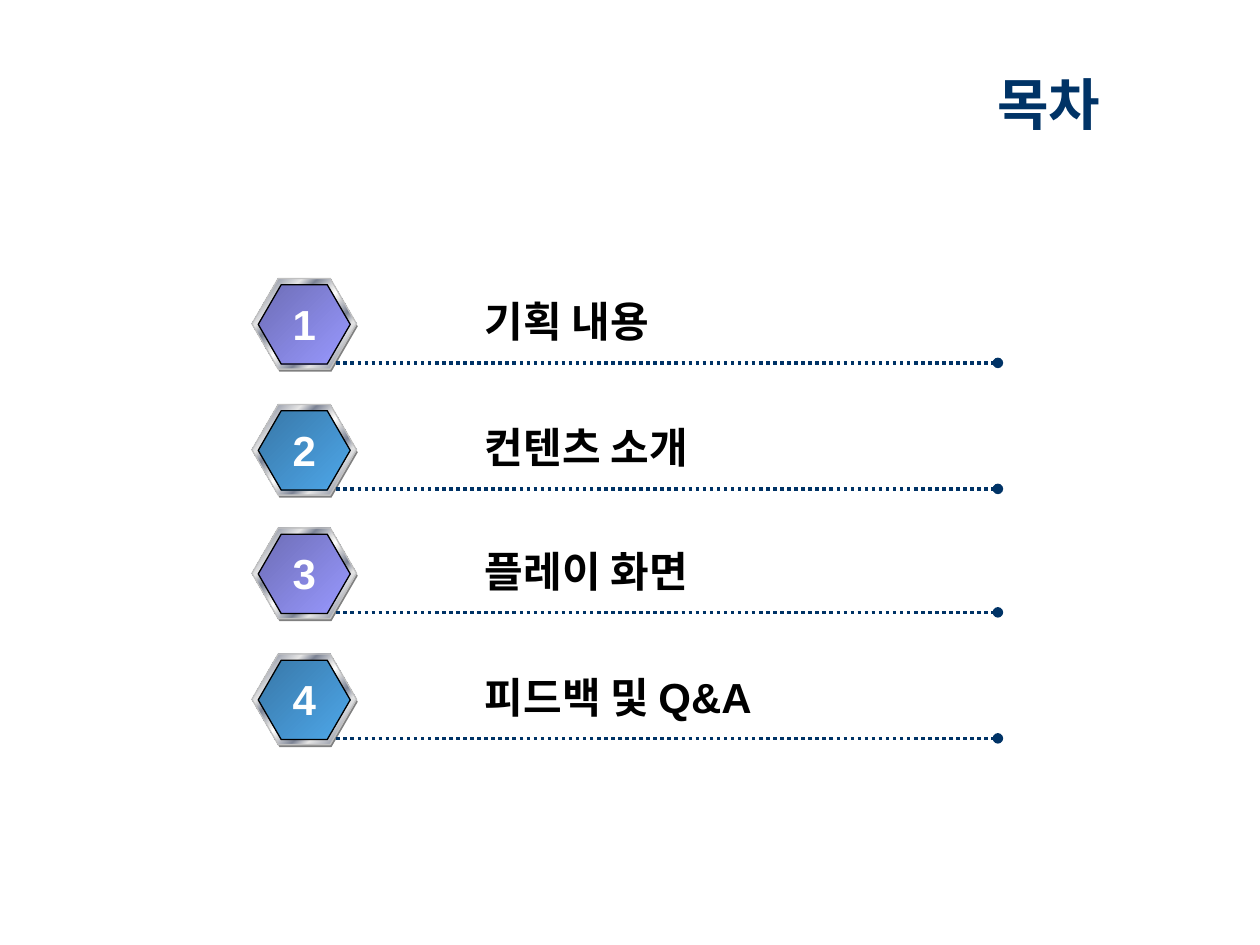
import pptx
import pptx.dml.color
import pptx.enum.dml
import pptx.enum.shapes
import pptx.enum.text
import pptx.oxml
import pptx.oxml.ns
import pptx.util

Inches, Pt = pptx.util.Inches, pptx.util.Pt
RGBColor = pptx.dml.color.RGBColor
Align = pptx.enum.text.PP_ALIGN
qn = pptx.oxml.ns.qn

NAVY = RGBColor(0x00, 0x33, 0x66)
BLACK = RGBColor(0x00, 0x00, 0x00)
WHITE = RGBColor(0xFF, 0xFF, 0xFF)
GRAY = RGBColor(0x80, 0x80, 0x80)
SILVER = RGBColor(0xC0, 0xC0, 0xC0)
LIGHT = RGBColor(0xE6, 0xE6, 0xE6)
STEEL = RGBColor(0x7D, 0x84, 0x96)
VIOLET = [(0, RGBColor(0x6D, 0x6D, 0xB6)), (100, RGBColor(0x99, 0x99, 0xFF))]
BLUE = [(0, RGBColor(0x38, 0x77, 0xA7)), (100, RGBColor(0x4E, 0xA7, 0xEA))]
CHROME = [(0, LIGHT), (7, STEEL), (26, LIGHT), (34, STEEL), (46, LIGHT), (50, WHITE),
          (54, LIGHT), (66, STEEL), (74, LIGHT), (93, STEEL), (100, LIGHT)]

# Columns, and the rows in pairs
BADGE_X, NUMBER_X, RULE_X, LABEL_X, RULE_END = 2, 2.22, 2.67, 3.75, 7.92
FIRST_ROW, ROW_STEP, PAIR_STEP = 2.21, 1, 1.98
TOPICS = ["기획 내용", "컨텐츠 소개", "플레이 화면", "피드백 및 Q&A"]
LABEL_WIDTHS = [1.64, 1.98, 1.98, 2.44]

deck = pptx.Presentation()
deck.slide_width, deck.slide_height = Inches(10), Inches(7.5)
page = deck.slides.add_slide(deck.slide_layouts[6])


def add_text(text, left, top, width, height, size=24, color=BLACK, align=Align.LEFT, wrap=False,
             anchor=pptx.enum.text.MSO_ANCHOR.TOP):
    box = page.shapes.add_textbox(Inches(left), Inches(top), Inches(width), Inches(height))
    frame = box.text_frame
    frame.word_wrap = wrap
    frame.vertical_anchor = anchor
    para = frame.paragraphs[0]
    para.alignment = align
    span = para.add_run()
    span.text = text
    span.font.name, span.font.size, span.font.bold = "Arial", Pt(size), True
    span.font.color.rgb = color


def add_hexagon(left, top, width, height, stops, outline):
    """Fill with one colour for a single stop, else with a diagonal gradient."""
    hexagon = page.shapes.add_shape(pptx.enum.shapes.MSO_SHAPE.HEXAGON, Inches(left), Inches(top),
                                    Inches(width), Inches(height))
    hexagon.shadow.inherit = False
    hexagon.adjustments[0] = 0.29
    if len(stops) == 1:
        hexagon.fill.solid()
        hexagon.fill.fore_color.rgb = stops[0][1]
    else:
        hexagon.fill.gradient()
        hexagon.fill.gradient_angle = 315
        stop_list = hexagon.fill._fill._gradFill.find(qn("a:gsLst"))
        for old_stop in list(stop_list):
            stop_list.remove(old_stop)
        for percent, color in stops:
            stop = pptx.oxml.parse_xml(
                f'<a:gs {pptx.oxml.ns.nsdecls("a")} pos="{percent * 1000}">'
                f'<a:srgbClr val="{color}"/></a:gs>')
            stop_list.append(stop)
    if outline is None:
        hexagon.line.fill.background()
    else:
        hexagon.line.color.rgb = outline
        hexagon.line.width = Pt(0.75)


add_text("목차", 1.08, 0.55, 7.75, 0.53, size=32, color=NAVY, align=Align.RIGHT, wrap=True,
         anchor=pptx.enum.text.MSO_ANCHOR.MIDDLE)

for index, (topic, label_width) in enumerate(zip(TOPICS, LABEL_WIDTHS)):
    pair, place = divmod(index, 2)
    top = FIRST_ROW + pair * PAIR_STEP + place * ROW_STEP

    add_hexagon(BADGE_X + 0.01, top + 0.02, 0.83, 0.72, [(0, GRAY)], None)
    add_hexagon(BADGE_X, top, 0.83, 0.72, CHROME, SILVER)
    add_hexagon(BADGE_X + 0.05, top + 0.05, 0.73, 0.63, [VIOLET, BLUE][place], BLACK)

    rule_y = Inches(top + 0.67)
    rule = page.shapes.add_connector(pptx.enum.shapes.MSO_CONNECTOR.STRAIGHT,
                                     Inches(RULE_X), rule_y, Inches(RULE_END), rule_y)
    rule.line.color.rgb = NAVY
    rule.line.width = Pt(2)
    rule.line.dash_style = pptx.enum.dml.MSO_LINE.ROUND_DOT
    tail = pptx.oxml.parse_xml(f'<a:tailEnd {pptx.oxml.ns.nsdecls("a")} type="oval"/>')
    rule.line._get_or_add_ln().append(tail)
    rule._element.spPr.append(
        pptx.oxml.parse_xml(f'<a:effectLst {pptx.oxml.ns.nsdecls("a")}/>'))

    add_text(topic, LABEL_X, top + 0.09, label_width, 0.5)
    add_text(str(index + 1), NUMBER_X, top + 0.11, 0.39, 0.5, color=WHITE, align=Align.CENTER)

deck.save("out.pptx")
